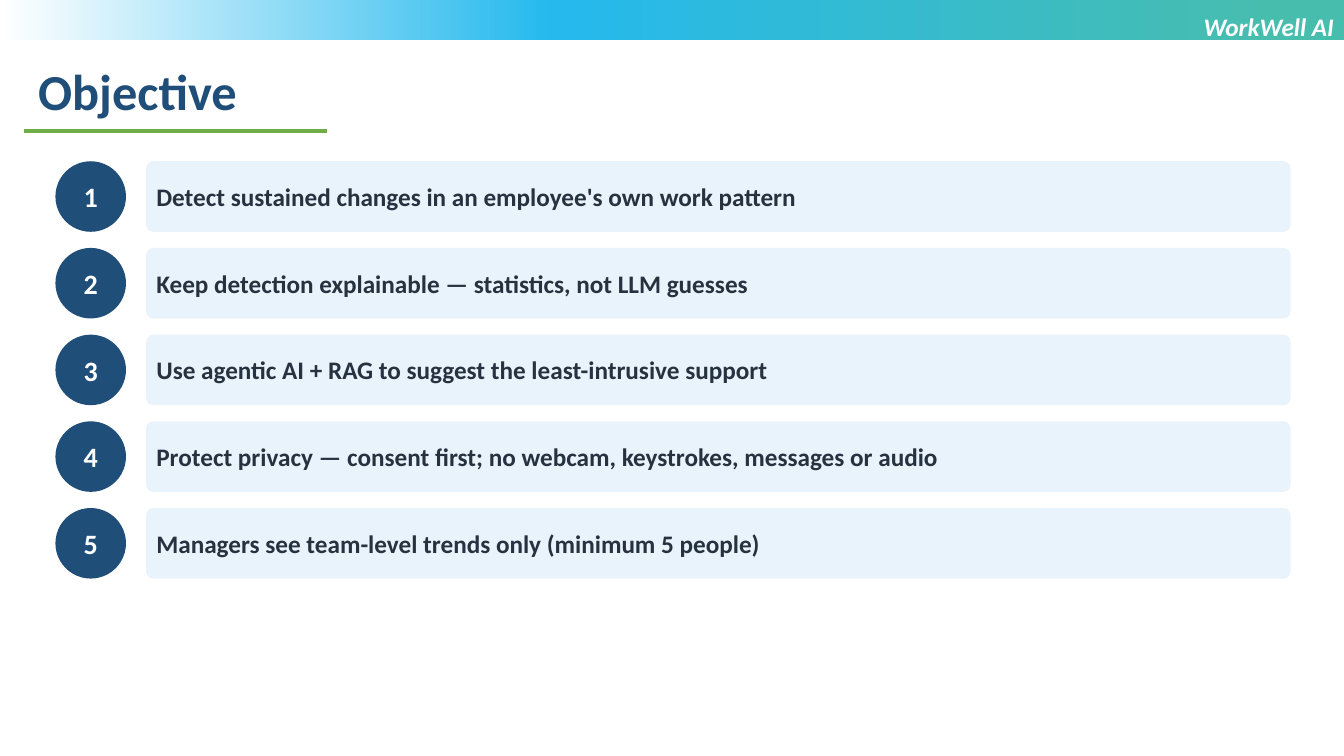
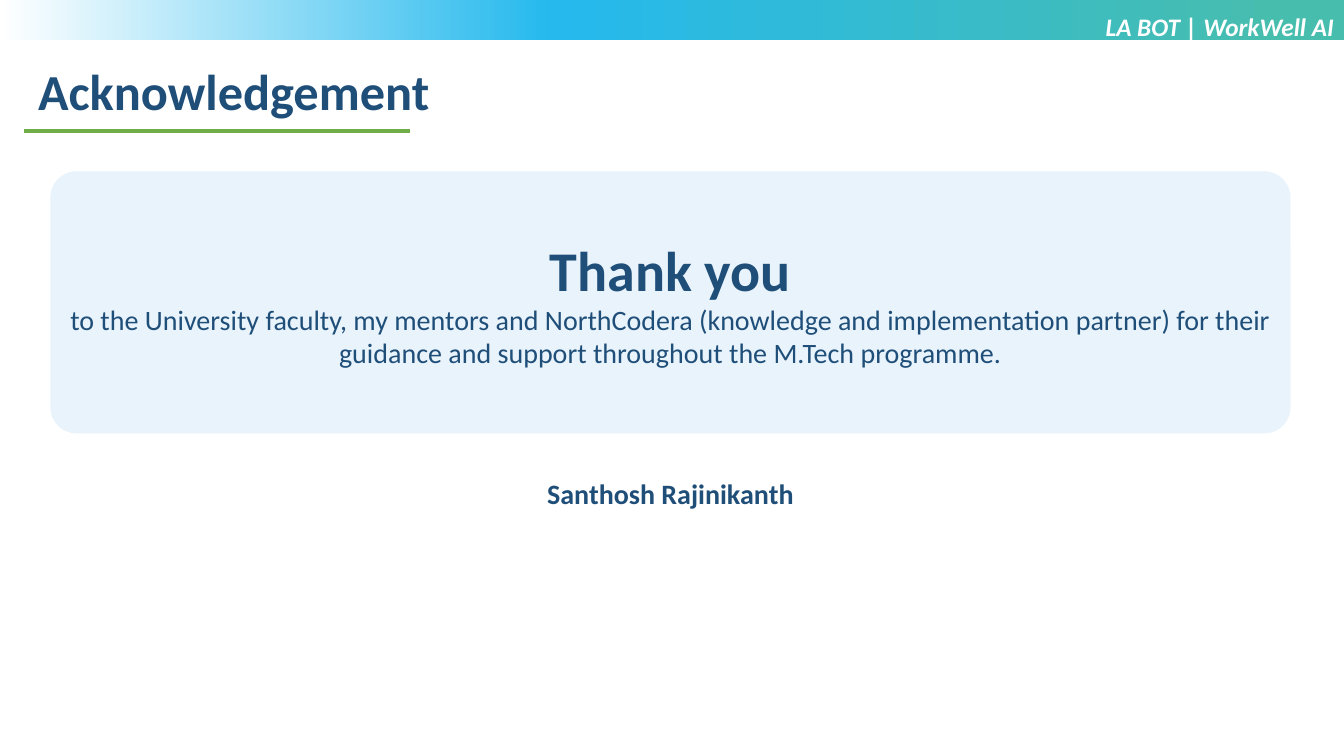
from copy import deepcopy

from lxml import etree
from pptx import Presentation
from pptx import util as u
from pptx.dml.color import RGBColor
from pptx.enum import shapes, text
from pptx.oxml import ns

NAVY = RGBColor(0x1F, 0x4E, 0x79)
INK = RGBColor(0x26, 0x32, 0x3F)
PALE = RGBColor(0xE8, 0xF3, 0xFB)
GREEN = RGBColor(0x70, 0xAD, 0x47)
TEAL = RGBColor(0x47, 0xBD, 0xAE)
SKY = RGBColor(0x25, 0xB9, 0xED)
WHITE = RGBColor(0xFF, 0xFF, 0xFF)
FONT = "Calibri"
WIDTH, HEIGHT = 13.33, 7.5
BAND_STOPS = ((0, WHITE), (0.41, SKY), (0.95, TEAL))
LEFT, CENTER, RIGHT = text.PP_ALIGN.LEFT, text.PP_ALIGN.CENTER, text.PP_ALIGN.RIGHT
CARD_INSETS = (0.08, 0.04)

OBJECTIVES = (
    "Detect sustained changes in an employee's own work pattern",
    "Keep detection explainable — statistics, not LLM guesses",
    "Use agentic AI + RAG to suggest the least-intrusive support",
    "Protect privacy — consent first; no webcam, keystrokes, messages or audio",
    "Managers see team-level trends only (minimum 5 people)",
)
THANKS = (
    "to the University faculty, my mentors and NorthCodera (knowledge and "
    "implementation partner) for their guidance and support throughout the "
    "M.Tech programme."
)


def write(para, content, size=18, color=NAVY, bold=True, italic=False, align=LEFT):
    para.alignment = align
    span = para.add_run()
    span.text = content
    font = span.font
    font.name, font.size, font.color.rgb = FONT, u.Pt(size), color
    font.bold, font.italic = bold, italic


def set_insets(frame, across, down):
    frame.margin_left = frame.margin_right = u.Inches(across)
    frame.margin_top = frame.margin_bottom = u.Inches(down)


class Slides:
    def __init__(self):
        self.deck = Presentation()
        self.deck.slide_width = u.Inches(WIDTH)
        self.deck.slide_height = u.Inches(HEIGHT)
        self.page = None

    def start(self, title, rule_width, label):
        self.page = self.deck.slides.add_slide(self.deck.slide_layouts[6])
        if len(self.deck.slides) == 1:
            self.master_band()
        self.label(title, (0.28, 0.55, 11.62, 0.71), size=36)
        self.rule(0.24, 1.3, rule_width)
        self.label(label, (6.66, 0.06, 6.67, 0.71),
                   color=WHITE, italic=True, align=RIGHT)

    def master_band(self):
        band = self.shape(shapes.MSO_SHAPE.RECTANGLE, (0, 0, WIDTH, 0.4), WHITE)
        band.fill.gradient()
        band.fill.gradient_angle = 0
        stop_list = next(band.element.iter(ns.qn("a:gsLst")))
        stop_list.append(deepcopy(stop_list[0]))
        for stop, (position, color) in zip(band.fill.gradient_stops, BAND_STOPS):
            stop.position, stop.color.rgb = position, color
        band.element.nvSpPr.cNvPr.set("id", "20")
        self.deck.slide_master.shapes.element.insert(2, band.element)

    def shape(self, kind, place, fill, insets=CARD_INSETS):
        shape = self.page.shapes.add_shape(kind, *map(u.Inches, place))
        shape.shadow.inherit = False
        shape.fill.solid()
        shape.fill.fore_color.rgb = fill
        shape.line.fill.background()
        frame = shape.text_frame
        frame.word_wrap = True
        frame.vertical_anchor = text.MSO_ANCHOR.MIDDLE
        set_insets(frame, *insets)
        return shape

    def card(self, place):
        card = self.shape(shapes.MSO_SHAPE.ROUNDED_RECTANGLE, place, PALE)
        card.adjustments[0] = 0.1
        return card.text_frame

    def badge(self, number, place):
        badge = self.shape(shapes.MSO_SHAPE.OVAL, place, NAVY, insets=(0, 0.05))
        write(badge.text_frame.paragraphs[0], str(number),
              size=20, color=WHITE, align=CENTER)

    def label(self, content, place, insets=(0.1, 0.05), **style):
        box = self.page.shapes.add_textbox(*map(u.Inches, place))
        frame = box.text_frame
        frame.word_wrap = True
        frame.auto_size = text.MSO_AUTO_SIZE.SHAPE_TO_FIT_TEXT
        set_insets(frame, *insets)
        write(frame.paragraphs[0], content, **style)

    def rule(self, left, top, width):
        ends = map(u.Inches, (left, top, left + width, top))
        rule = self.page.shapes.add_connector(shapes.MSO_CONNECTOR.STRAIGHT, *ends)
        rule.line.color.rgb = GREEN
        rule.line.width = u.Pt(2.25)
        etree.SubElement(rule.element.spPr, ns.qn("a:effectLst"))


def objective(slides):
    slides.start("Objective", 3, "WorkWell AI")
    top, size, gap = 1.6, 0.7, 0.16
    for index, goal in enumerate(OBJECTIVES):
        row = top + index * (size + gap)
        slides.badge(index + 1, (0.55, row, size, size))
        card = slides.card((1.45, row, 11.35, size))
        write(card.paragraphs[0], goal, color=INK)


def acknowledgement(slides):
    slides.start("Acknowledgement", 3.83, "LA BOT | WorkWell AI")
    card = slides.card((0.5, 1.7, 12.3, 2.6))
    write(card.paragraphs[0], "Thank you", size=40, align=CENTER)
    write(card.add_paragraph(), THANKS, size=20, bold=False, align=CENTER)
    slides.label("Santhosh Rajinikanth", (0.5, 4.7, 12.3, 0.5),
                 insets=(0.05, 0.03), size=20, align=CENTER)


def main():
    slides = Slides()
    objective(slides)
    acknowledgement(slides)
    slides.deck.save("out.pptx")


if __name__ == "__main__":
    main()
